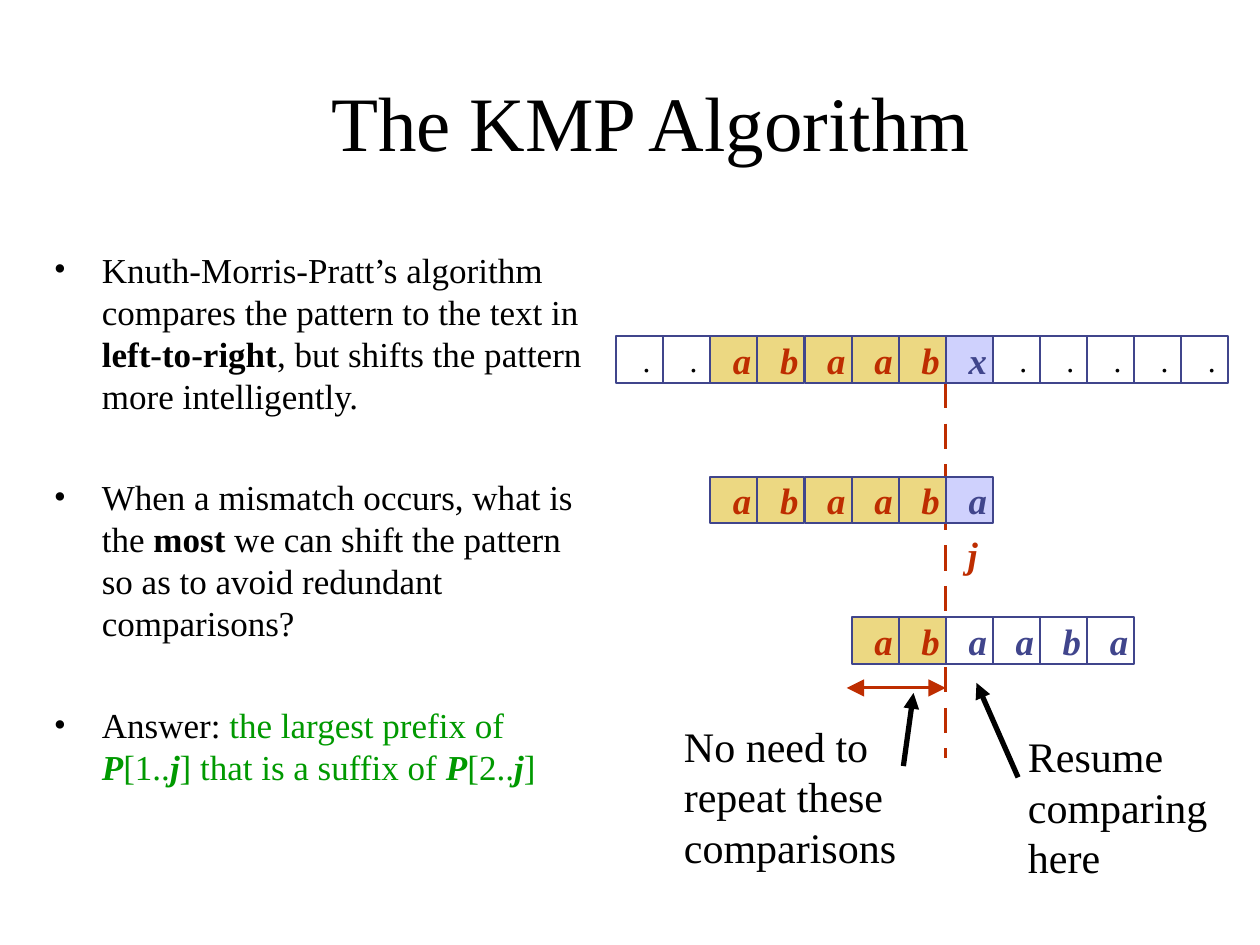
import pptx
import pptx.util
import pptx.dml.color
import pptx.enum.shapes
import pptx.enum.text
from lxml import etree
from pptx.oxml.ns import qn
from pptx.util import Inches, Pt

FONT = "Times New Roman"
HEX = {"black": "000000", "green": "009900", "red": "BE2D00",
       "navy": "40458C", "gold": "ECD882", "lilac": "CFD1FD"}
RGB = {name: pptx.dml.color.RGBColor.from_string(code)
       for name, code in HEX.items()}
ANCHOR = pptx.enum.text.MSO_ANCHOR
ALIGN = pptx.enum.text.PP_ALIGN


def add_run(para, text, size, color="black", style=""):
    """Add a run; style may hold b for bold and i for italic."""
    run = para.add_run()
    run.text = text
    font = run.font
    font.name, font.size = FONT, Pt(size)
    font.bold, font.italic = "b" in style, "i" in style
    font.color.rgb = RGB[color]


def add_line(start, end, color, width, ends=(), size="med"):
    """Draw a line; ends names the ends that carry arrowheads."""
    line = slide.shapes.add_connector(
        pptx.enum.shapes.MSO_CONNECTOR.STRAIGHT,
        *[Inches(v) for v in start + end])
    line.line.color.rgb = RGB[color]
    line.line.width = Pt(width)
    stroke = line.line._get_or_add_ln()
    for end_tag in ends:
        etree.SubElement(stroke, qn("a:" + end_tag),
                         type="triangle", w=size, len=size)
    etree.SubElement(line._element.spPr, qn("a:effectLst"))


deck = pptx.Presentation()
deck.slide_width, deck.slide_height = Inches(10), Inches(7.5)
slide = deck.slides.add_slide(deck.slide_layouts[5])

# Title
title = slide.shapes.title
title.left, title.top = Inches(0.75), Inches(0.33)
title.width, title.height = Inches(8.83), Inches(1.25)
title.text_frame.vertical_anchor = ANCHOR.MIDDLE
para = title.text_frame.paragraphs[0]
para.alignment = ALIGN.CENTER
add_run(para, "The KMP Algorithm", 44)

# Bullets
points = [
    [("Knuth-Morris-Pratt’s algorithm compares the pattern to the text in ",),
     ("left-to-right", "black", "b"),
     (", but shifts the pattern more intelligently.",)],
    [("When a mismatch occurs, what is the ",), ("most", "black", "b"),
     (" we can shift the pattern so as to avoid redundant comparisons?",)],
    [("Answer: ",), ("the largest prefix of ", "green"),
     ("P", "green", "bi"), ("[1..", "green"), ("j", "green", "bi"),
     ("] that is a suffix of ", "green"),
     ("P", "green", "bi"), ("[2..", "green"), ("j", "green", "bi"),
     ("]", "green")],
]
body = slide.shapes.add_textbox(Inches(0.33), Inches(1.92),
                                Inches(4.42), Inches(5.08))
frame = body.text_frame
frame.word_wrap = True
for i, runs in enumerate(points):
    para = frame.add_paragraph() if i else frame.paragraphs[0]
    props = para._p.get_or_add_pPr()
    props.set("marL", str(Inches(0.38)))
    props.set("indent", str(-Inches(0.38)))
    etree.SubElement(props, qn("a:buFont"), typeface=FONT)
    etree.SubElement(props, qn("a:buChar"), char="•")
    para.line_spacing = Pt(24)
    para.space_before = Pt(34 if i else 0)
    for run in runs:
        add_run(para, run[0], 20, *run[1:])

# Dashes that mark the mismatch column
left, top = 4.89, 2.67
step = (9.75 - left) / 13
side = 0.37
mark = left + 7 * step
for i in range(10):
    y = 3.04 + i * 2.9 / 9
    add_line((mark, y), (mark, min(y + 0.2, 6.02)), "red", 1.75)

# Text and pattern rows: first column, letters, matched columns,
# column of the mismatch
rows = [(0, "..abaabx.....", range(2, 7), 7),
        (2, "abaaba", range(2, 7), 7),
        (5, "abaaba", range(5, 7), None)]
for n, (first, word, match, miss) in enumerate(rows):
    for col, char in enumerate(word, first):
        cell = slide.shapes.add_shape(
            pptx.enum.shapes.MSO_SHAPE.RECTANGLE,
            Inches(left + col * step), Inches(top + n * 1.115),
            Inches(step), Inches(side))
        cell.shadow.inherit = False
        cell.line.color.rgb = RGB["navy"]
        cell.line.width = Pt(1.13)
        if col in match or col == miss:
            cell.fill.solid()
            cell.fill.fore_color.rgb = RGB["gold" if col in match else "lilac"]
        else:
            cell.fill.background()
        frame = cell.text_frame
        frame.word_wrap = False
        frame.vertical_anchor = ANCHOR.MIDDLE
        frame.margin_left = Inches(0.21 if char == "." else 0.18)
        frame.margin_right = frame.margin_top = frame.margin_bottom = 0
        para = frame.paragraphs[0]
        para.alignment = ALIGN.LEFT
        if char == ".":
            add_run(para, char, 18)
        else:
            add_run(para, char, 21, "red" if col in match else "navy", "bi")

# Labels: place, size, inset, text size, colour, style, lines
labels = [
    (7.68, 4.22, 0.15, 0.35, 0, 21, "red", "bi", ["j"]),
    (5.33, 5.67, 2, 1.3, 0.1, 24, "black", "",
     ["No need to", "repeat these", "comparisons"]),
    (8.06, 5.75, 1.75, 1.3, 0.1, 24, "black", "",
     ["Resume", "comparing", "here"]),
]
for x, y, w, h, inset, size, color, style, lines in labels:
    box = slide.shapes.add_textbox(Inches(x), Inches(y), Inches(w), Inches(h))
    frame = box.text_frame
    frame.word_wrap = True
    frame.margin_left, frame.margin_right = Inches(inset), 0
    frame.margin_top = frame.margin_bottom = Inches(inset / 2)
    for i, text in enumerate(lines):
        para = frame.add_paragraph() if i else frame.paragraphs[0]
        para.line_spacing = Pt(size * 1.2)
        add_run(para, text, size, color, style)

# Arrows
add_line((6.72, 5.46), (mark, 5.46), "red", 1.75,
         ("headEnd", "tailEnd"), "lg")
add_line((7.17, 6.08), (7.25, 5.5), "black", 3, ("tailEnd",))
add_line((8.08, 6.17), (7.75, 5.42), "black", 3, ("tailEnd",))

deck.save("out.pptx")
